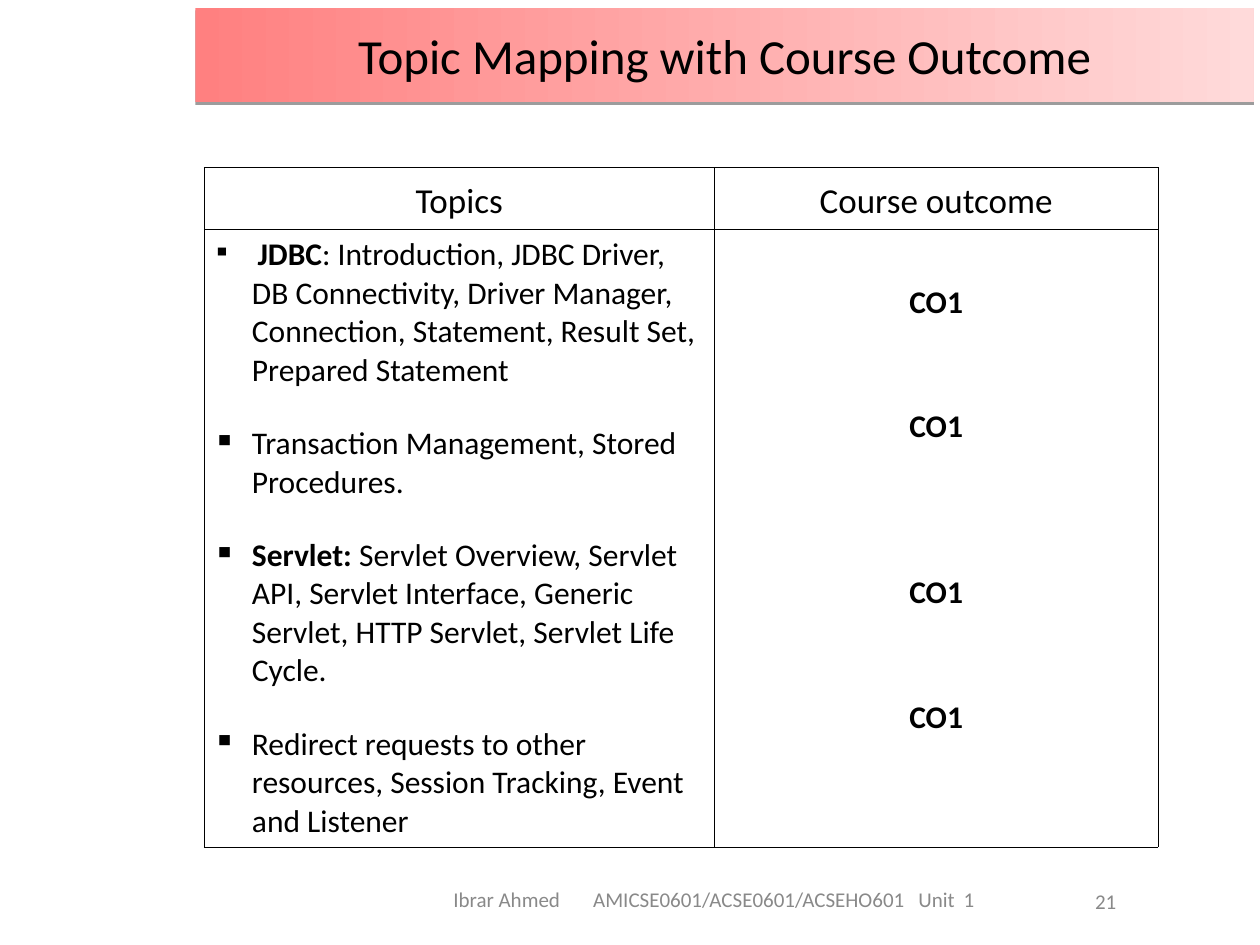
from lxml.etree import SubElement
from pptx import Presentation
from pptx.dml.color import RGBColor
from pptx.enum.text import MSO_ANCHOR, MSO_AUTO_SIZE, PP_ALIGN
from pptx.oxml.ns import qn
from pptx.util import Inches, Pt

BLACK = "000000"
GRAY = "898989"
TOPICS = [
    [(" ", 14, False), ("JDBC", 18, True),
     (": Introduction, JDBC Driver, DB Connectivity, Driver Manager, Connection, "
      "Statement, Result Set, Prepared Statement", 18, False)],
    [("Transaction Management, Stored Procedures.", 18, False)],
    [("Servlet: ", 18, True),
     ("Servlet Overview, Servlet API, Servlet Interface, Generic Servlet, "
      "HTTP Servlet, Servlet Life Cycle.", 18, False)],
    [("Redirect requests to other resources, Session Tracking, Event and Listener", 18, False)],
]
OUTCOMES = [("CO1", 0), ("CO1", 46), ("CO1", 69.5), ("CO1", 46)]


def color(value):
    """Turn a hex string into a colour."""
    return RGBColor.from_string(value)


def add_run(paragraph, text, size, bold=False, fill=BLACK):
    """Append a formatted run to a paragraph."""
    run = paragraph.add_run()
    run.text = text
    run.font.name = "Calibri"
    run.font.size = Pt(size)
    run.font.bold = bold
    run.font.color.rgb = color(fill)


def next_paragraph(text_frame, index):
    """Return the first paragraph or add a further one."""
    return text_frame.add_paragraph() if index else text_frame.paragraphs[0]


def place(shape, box):
    """Move and size a shape to a box in inches."""
    shape.left, shape.top, shape.width, shape.height = map(Inches, box)


def add_title(slide, box, text):
    """Format the title placeholder as a gradient banner with a shadow."""
    title = slide.shapes.title
    place(title, box)
    title.fill.gradient()
    title.fill.gradient_angle = 0
    for stop, value in zip(title.fill.gradient_stops, ("FF8080", "FFDADA")):
        stop.color.rgb = color(value)
    title.line.fill.background()
    effects = SubElement(title.element.spPr, qn("a:effectLst"))
    shadow = SubElement(effects, qn("a:outerShdw"), blurRad="0", dist=str(Pt(1.6)),
                        dir="5400000", rotWithShape="0")
    shade = SubElement(shadow, qn("a:srgbClr"), val=BLACK)
    SubElement(shade, qn("a:alpha"), val="38000")
    text_frame = title.text_frame
    text_frame.auto_size = MSO_AUTO_SIZE.NONE
    text_frame.vertical_anchor = MSO_ANCHOR.MIDDLE
    paragraph = text_frame.paragraphs[0]
    paragraph.alignment = PP_ALIGN.CENTER
    add_run(paragraph, text, 28)


def format_cell(cell):
    """Give a cell thin black borders, narrow margins and no fill."""
    properties = cell._tc.get_or_add_tcPr()
    for side in ("lnL", "lnR", "lnT", "lnB"):
        line = SubElement(properties, qn(f"a:{side}"), w=str(Pt(0.45)))
        fill = SubElement(line, qn("a:solidFill"))
        SubElement(fill, qn("a:srgbClr"), val=BLACK)
    cell.fill.background()
    cell.margin_left = cell.margin_right = Inches(0.07)
    cell.margin_top = cell.margin_bottom = Inches(0.05)


def fill_topics(cell):
    """Write the bulleted topics."""
    cell.vertical_anchor = MSO_ANCHOR.MIDDLE
    for index, runs in enumerate(TOPICS):
        paragraph = next_paragraph(cell.text_frame, index)
        if index:
            paragraph.space_before = Pt(20)
        properties = paragraph._p.get_or_add_pPr()
        properties.set("marL", str(Inches(0.31)))
        properties.set("indent", str(Inches(-0.31)))
        bullet_color = SubElement(properties, qn("a:buClr"))
        SubElement(bullet_color, qn("a:srgbClr"), val=BLACK)
        SubElement(properties, qn("a:buChar"), char="▪")
        for text, size, bold in runs:
            add_run(paragraph, text, size, bold)


def fill_outcomes(cell):
    """Write the outcomes spaced to sit beside their topics."""
    cell.margin_top = Inches(0.38)
    for index, (text, gap) in enumerate(OUTCOMES):
        paragraph = next_paragraph(cell.text_frame, index)
        paragraph.alignment = PP_ALIGN.CENTER
        paragraph.line_spacing = 1.15
        if gap:
            paragraph.space_before = Pt(gap)
        add_run(paragraph, text, 18, True)


def add_mapping_table(slide, box):
    """Add the table of topics and course outcomes."""
    table = slide.shapes.add_table(2, 2, *map(Inches, box)).table
    table.first_row = table.horz_banding = False
    for column, width in zip(table.columns, (4.05, 3.52)):
        column.width = Inches(width)
    for row, height in zip(table.rows, (0.38, 4.85)):
        row.height = Inches(height)
    for cell in table.iter_cells():
        format_cell(cell)
    for index, heading in enumerate(("Topics", "Course outcome")):
        cell = table.cell(0, index)
        cell.vertical_anchor = MSO_ANCHOR.MIDDLE
        paragraph = cell.text_frame.paragraphs[0]
        paragraph.alignment = PP_ALIGN.CENTER
        paragraph.line_spacing = 1.15
        add_run(paragraph, heading, 20)
    fill_topics(table.cell(1, 0))
    fill_outcomes(table.cell(1, 1))


def add_footer_text(slide, box, text, alignment, tabs=()):
    """Add a gray line of footer text with optional tab stops in inches."""
    text_frame = slide.shapes.add_textbox(*map(Inches, box)).text_frame
    text_frame.word_wrap = True
    text_frame.vertical_anchor = MSO_ANCHOR.MIDDLE
    paragraph = text_frame.paragraphs[0]
    paragraph.alignment = alignment
    if tabs:
        tab_list = SubElement(paragraph._p.get_or_add_pPr(), qn("a:tabLst"))
        for position in tabs:
            SubElement(tab_list, qn("a:tab"), pos=str(Inches(position)), algn="l")
    add_run(paragraph, text, 12, fill=GRAY)


def main():
    """Build and save the presentation."""
    presentation = Presentation()
    presentation.slide_width, presentation.slide_height = Inches(10), Inches(7.5)
    slide = presentation.slides.add_slide(presentation.slide_layouts[5])
    add_title(slide, (1.55, 0.06, 8.4, 0.75), "Topic Mapping with Course Outcome")
    add_mapping_table(slide, (1.62, 1.33, 7.57, 5.23))
    add_footer_text(slide, (7.19, 6.95, 3.17, 0.4), "21", PP_ALIGN.CENTER)
    add_footer_text(slide, (3.5, 6.91, 5.69, 0.46),
                    "Ibrar Ahmed\tAMICSE0601/ACSE0601/ACSEHO601\tUnit\t1",
                    PP_ALIGN.LEFT, (1.11, 3.69, 4.05))
    presentation.save("out.pptx")


if __name__ == "__main__":
    main()
